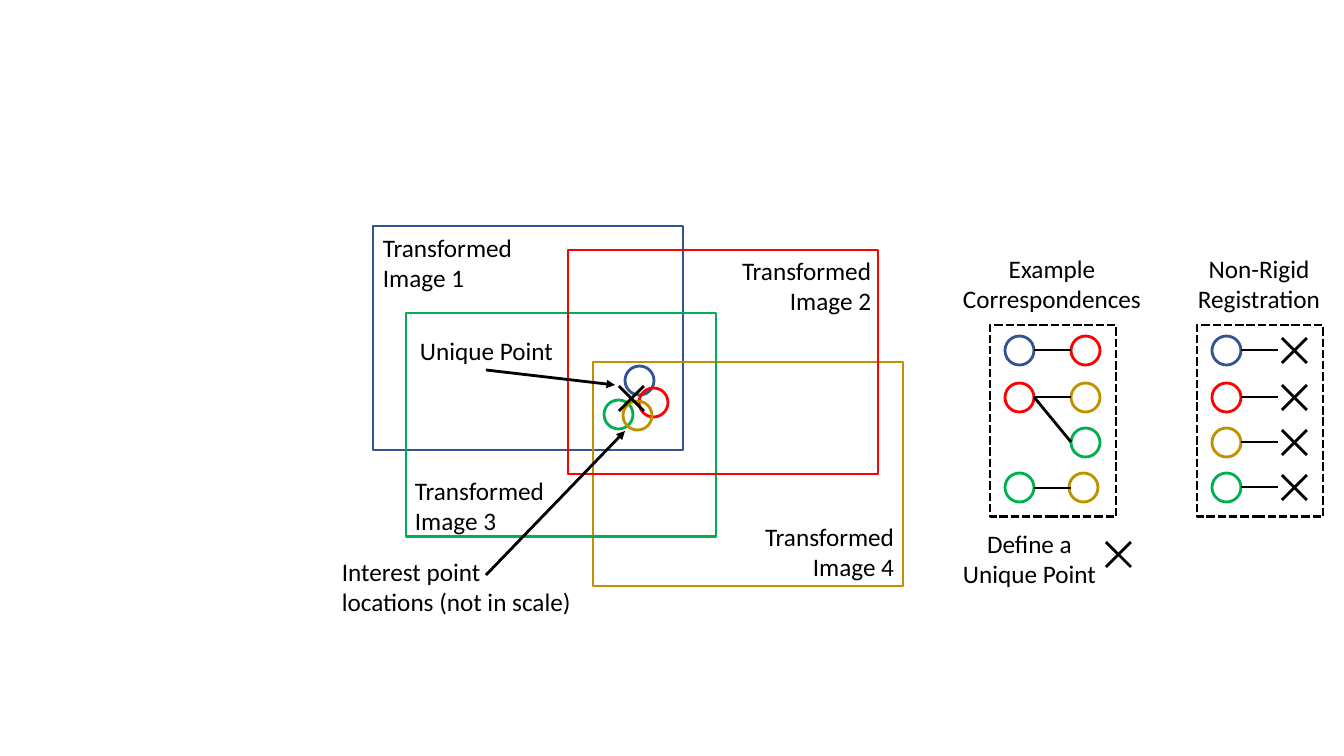
from lxml.etree import SubElement
from pptx import Presentation
from pptx.dml.color import RGBColor
from pptx.enum.dml import MSO_LINE
from pptx.enum.shapes import MSO_CONNECTOR, MSO_SHAPE
from pptx.enum.text import MSO_AUTO_SIZE, PP_ALIGN
from pptx.oxml.ns import qn
from pptx.util import Emu, Pt

PIXEL = 914400 / 100.8
THEME = {
    "blue": RGBColor(0x32, 0x54, 0x91),
    "red": RGBColor(0xFF, 0x00, 0x00),
    "green": RGBColor(0x00, 0xB0, 0x50),
    "gold": RGBColor(0xBF, 0x90, 0x00),
    "black": RGBColor(0x00, 0x00, 0x00),
    "font": "Calibri",
    "text_size": Pt(18),
    "line_width": Pt(2),
}
CIRCLE = 29
CROSS = 25
IMAGE_SIZE = (310, 224)
PANEL_SIZE = (126, 192)
LEFT, CENTER, RIGHT = PP_ALIGN.LEFT, PP_ALIGN.CENTER, PP_ALIGN.RIGHT

presentation = Presentation()
presentation.slide_width = Emu(round(1344 * PIXEL))
presentation.slide_height = Emu(round(756 * PIXEL))
slide = presentation.slides.add_slide(presentation.slide_layouts[6])


def draw_outline(kind, left, top, width, height, color, dash=None):
    box = [Emu(round(value * PIXEL)) for value in (left, top, width, height)]
    shape = slide.shapes.add_shape(kind, *box)
    shape.shadow.inherit = False
    shape.fill.background()
    shape.line.color.rgb = THEME[color]
    for name, value in {"width": THEME["line_width"], "dash_style": dash}.items():
        setattr(shape.line, name, value)


def draw_line(start_x, start_y, end_x, end_y, arrow=False):
    ends = [Emu(round(value * PIXEL)) for value in (start_x, start_y, end_x, end_y)]
    connector = slide.shapes.add_connector(MSO_CONNECTOR.STRAIGHT, *ends)
    connector.line.color.rgb = THEME["black"]
    connector.line.width = THEME["line_width"]
    if arrow:
        SubElement(connector.line._get_or_add_ln(), qn("a:tailEnd"), type="triangle")
    SubElement(connector._element.spPr, qn("a:effectLst"))


for left, top, color in [
    (373, 226, "blue"),
    (593, 362, "gold"),
    (406, 313, "green"),
    (568, 250, "red"),
]:
    draw_outline(MSO_SHAPE.RECTANGLE, left, top, *IMAGE_SIZE, color)

for panel_left in (990, 1197):
    draw_outline(MSO_SHAPE.RECTANGLE, panel_left, 325, *PANEL_SIZE, "black", MSO_LINE.SQUARE_DOT)

interest_points = [
    (625, 366, "blue"),
    (639, 388, "red"),
    (604, 400, "green"),
    (623, 401, "gold"),
]
correspondence_points = [
    (1005, 336, "blue"),
    (1071, 336, "red"),
    (1005, 383, "red"),
    (1071, 383, "gold"),
    (1071, 428, "green"),
    (1005, 473, "green"),
    (1069, 473, "gold"),
]
registration_points = [
    (1212, 336, "blue"),
    (1212, 383, "red"),
    (1212, 428, "gold"),
    (1212, 473, "green"),
]
for left, top, color in interest_points + correspondence_points + registration_points:
    draw_outline(MSO_SHAPE.OVAL, left, top, CIRCLE, CIRCLE, color)

for start_y, end_y in [(350, 350), (397, 397), (397, 442), (488, 488)]:
    draw_line(1034, start_y, 1071, end_y)

crosses = [(1106, 542), (619, 386)]
for left, top, color in registration_points:
    middle = top + CIRCLE // 2
    draw_line(left + CIRCLE, middle, 1278, middle)
    crosses.append((1282, top + 2))

for left, top in crosses:
    draw_line(left, top, left + CROSS, top + CROSS)
    draw_line(left, top + CROSS, left + CROSS, top)

draw_line(486, 575, 625, 431, arrow=True)
draw_line(486, 370, 615, 385, arrow=True)

for left, top, width, alignment, lines in [
    (952, 248, 200, CENTER, ["Example", "Correspondences"]),
    (373, 227, 151, LEFT, ["Transformed", "Image 1"]),
    (730, 250, 151, RIGHT, ["Transformed", "Image 2"]),
    (405, 470, 151, LEFT, ["Transformed", "Image 3"]),
    (753, 516, 151, RIGHT, ["Transformed", "Image 4"]),
    (952, 523, 155, CENTER, ["Define a", "Unique Point"]),
    (332, 551, 252, LEFT, ["Interest point", "locations (not in scale)"]),
    (409, 330, 155, CENTER, ["Unique Point"]),
    (1187, 248, 144, CENTER, ["Non-Rigid", "Registration"]),
]:
    height = 10 + 31 * len(lines)
    box = [Emu(round(value * PIXEL)) for value in (left, top, width, height)]
    text_frame = slide.shapes.add_textbox(*box).text_frame
    text_frame.word_wrap = False
    text_frame.auto_size = MSO_AUTO_SIZE.SHAPE_TO_FIT_TEXT
    text_frame.text = "\n".join(lines)
    for paragraph in text_frame.paragraphs:
        paragraph.alignment = alignment
        font = paragraph.runs[0].font
        font.color.rgb = THEME["black"]
        for name, value in {"name": THEME["font"], "size": THEME["text_size"]}.items():
            setattr(font, name, value)

presentation.save("out.pptx")
